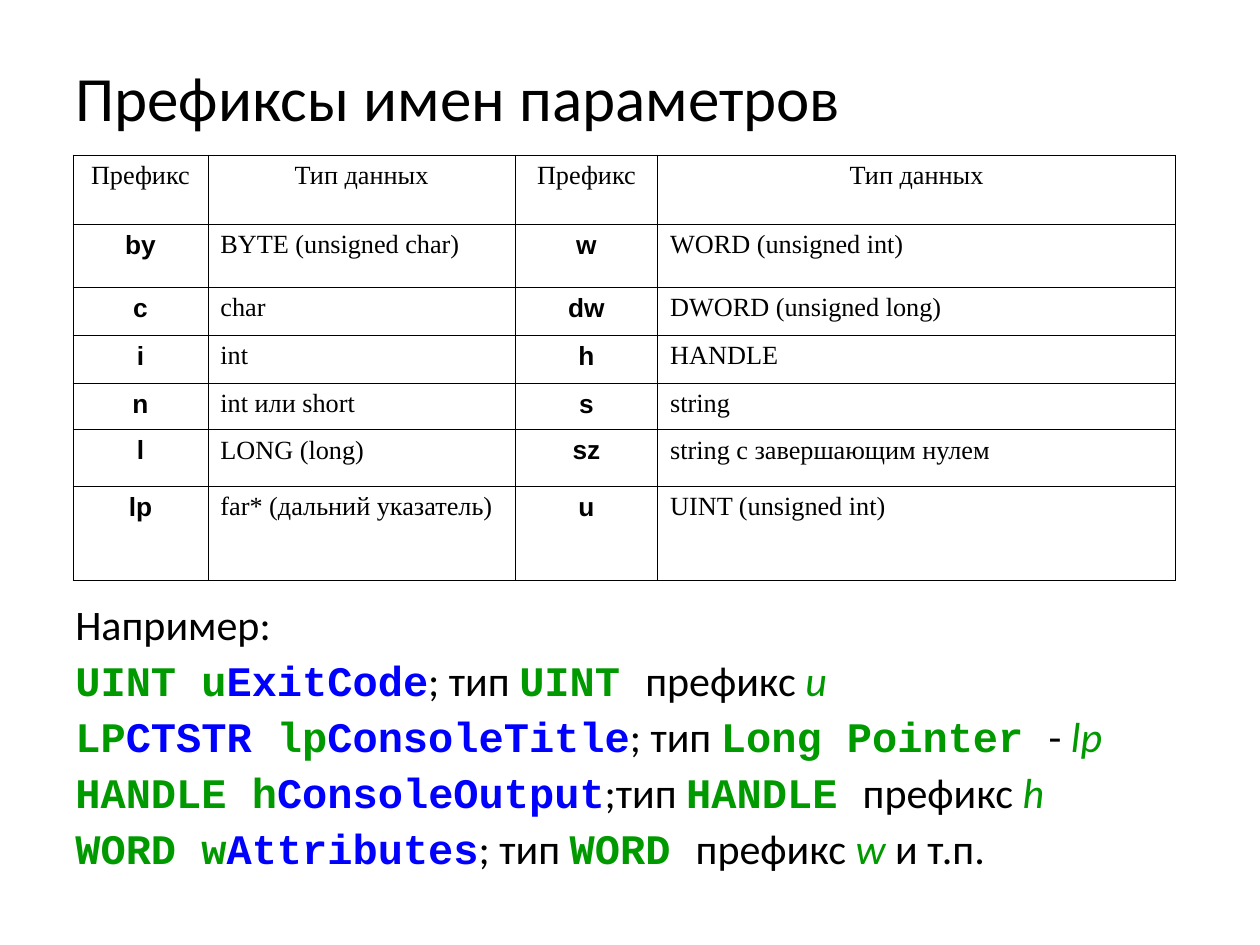
from lxml.etree import SubElement
from pptx import Presentation
from pptx.dml.color import RGBColor
from pptx.enum.text import MSO_ANCHOR as Anchor, PP_ALIGN as Align
from pptx.oxml.ns import qn
from pptx.util import Inches, Pt

COLORS = {"text": "000000", "prefix": "009900", "name": "0000FF", "back": "FFFFFF"}

# Formats of the example runs
PLAIN = {"name": "Calibri", "color": "text"}
PREFIX = {"name": "Courier New", "color": "prefix", "bold": True}
NAME = {"name": "Courier New", "color": "name", "bold": True}
ACCENT = {"name": "Calibri", "color": "prefix", "italic": True}

HEADINGS = ("Префикс", "Тип данных", "Префикс", "Тип данных")
PREFIXES = [
    ("by", "BYTE (unsigned char)", "w", "WORD (unsigned int)"),
    ("c", "char", "dw", "DWORD (unsigned long)"),
    ("i", "int", "h", "HANDLE"),
    ("n", "int или short", "s", "string"),
    ("l", "LONG (long)", "sz", "string с завершающим нулем"),
    ("lp", "far* (дальний указатель)", "u", "UINT (unsigned int)"),
]
COLUMN_WIDTHS = (1.07, 2.44, 1.13, 4.11)
ROW_HEIGHTS = (0.55, 0.5, 0.38, 0.38, 0.37, 0.45, 0.75)

EXAMPLES = [
    [("Например:", PLAIN)],
    [("UINT u", PREFIX), ("ExitCode", NAME), ("; тип ", PLAIN),
     ("UINT ", PREFIX), ("префикс ", PLAIN), ("u", ACCENT)],
    [("LP", PREFIX), ("CTSTR ", NAME), ("lp", PREFIX), ("ConsoleTitle", NAME),
     ("; тип ", PLAIN), ("Long Pointer ", PREFIX), ("- ", PLAIN), ("lp", ACCENT)],
    [("HANDLE h", PREFIX), ("ConsoleOutput", NAME), (";тип ", PLAIN),
     ("HANDLE ", PREFIX), ("префикс ", PLAIN), ("h", ACCENT)],
    [("WORD w", PREFIX), ("Attributes", NAME), ("; тип ", PLAIN),
     ("WORD ", PREFIX), ("префикс", PLAIN), (" w ", ACCENT), ("и т.п.", PLAIN)],
]


def add_run(paragraph, text, size, color="text", **font_format):
    run = paragraph.add_run()
    run.text = text
    run.font.size = Pt(size)
    run.font.color.rgb = RGBColor.from_string(COLORS[color])
    for attribute, value in font_format.items():
        setattr(run.font, attribute, value)


def add_frame(slide, box, anchor):
    """Add a wrapping text box and return its text frame."""
    frame = slide.shapes.add_textbox(*map(Inches, box)).text_frame
    frame.word_wrap = True
    frame.vertical_anchor = anchor
    return frame


def add_title(slide, box):
    frame = add_frame(slide, box, Anchor.MIDDLE)
    add_run(frame.paragraphs[0], "Префиксы имен параметров", 36, **PLAIN)


def set_borders(cell):
    properties = cell._tc.get_or_add_tcPr()
    for index, side in enumerate(("lnL", "lnR", "lnT", "lnB")):
        line = properties.makeelement(qn(f"a:{side}"), {"w": str(Pt(0.45))})
        properties.insert(index, line)
        fill = SubElement(line, qn("a:solidFill"))
        SubElement(fill, qn("a:srgbClr"), val=COLORS["text"])


def add_prefix_table(slide, box):
    rows = [HEADINGS, *PREFIXES]
    table = slide.shapes.add_table(len(rows), len(HEADINGS), *map(Inches, box)).table
    table.first_row = table.horz_banding = False
    for column, width in zip(table.columns, COLUMN_WIDTHS):
        column.width = Inches(width)
    for r, (texts, height) in enumerate(zip(rows, ROW_HEIGHTS)):
        table.rows[r].height = Inches(height)
        for c, text in enumerate(texts):
            is_heading = r == 0
            is_prefix = not is_heading and c % 2 == 0
            cell = table.cell(r, c)
            cell.fill.solid()
            cell.fill.fore_color.rgb = RGBColor.from_string(COLORS["back"])
            set_borders(cell)
            paragraph = cell.text_frame.paragraphs[0]
            paragraph.alignment = Align.CENTER if is_heading or is_prefix else Align.LEFT
            add_run(paragraph, text, 15, bold=is_prefix,
                    name="Arial" if is_prefix else "Times New Roman")


def add_examples(slide, box):
    frame = add_frame(slide, box, Anchor.TOP)
    for index, runs in enumerate(EXAMPLES):
        paragraph = frame.add_paragraph() if index else frame.paragraphs[0]
        paragraph.line_spacing = 0.9
        paragraph.space_before = Pt(6)
        for text, run_format in runs:
            add_run(paragraph, text, 24, **run_format)


def main():
    deck = Presentation()
    deck.slide_width, deck.slide_height = Inches(10), Inches(7.5)
    slide = deck.slides.add_slide(deck.slide_layouts[6])
    add_title(slide, (0.5, 0.3, 9, 0.93))
    add_examples(slide, (0.5, 4.75, 9, 2.33))
    add_prefix_table(slide, (0.58, 1.23, 8.75, 3.38))
    deck.save("out.pptx")


if __name__ == "__main__":
    main()
